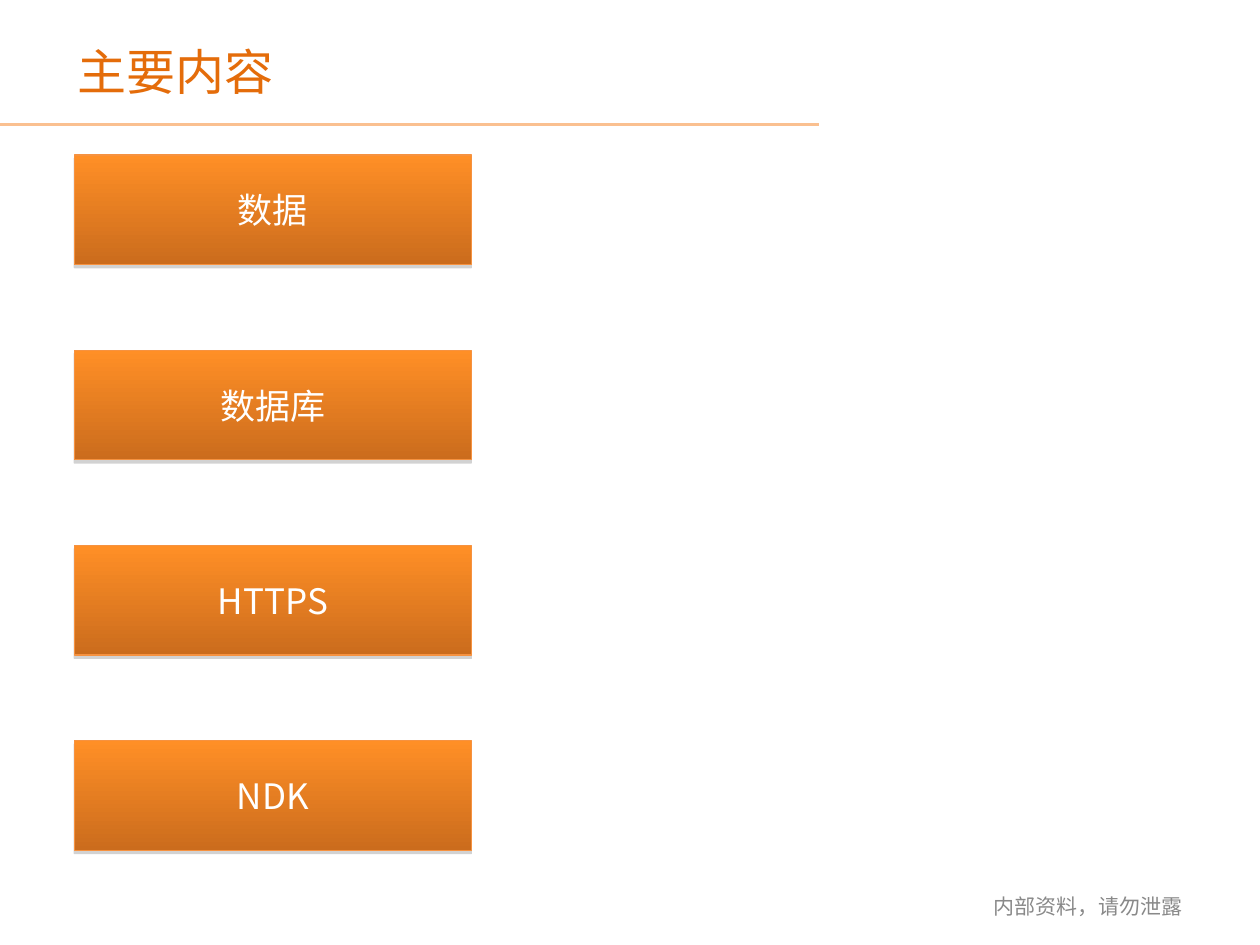
from lxml.etree import SubElement
from pptx import Presentation
from pptx.dml.color import RGBColor
from pptx.enum.shapes import MSO_CONNECTOR as Connector, MSO_SHAPE as Shape
from pptx.enum.text import MSO_ANCHOR as Anchor, MSO_AUTO_SIZE as AutoSize, PP_ALIGN as Align
from pptx.oxml.ns import qn
from pptx.util import Inches, Pt

WHITE = RGBColor(0xFF, 0xFF, 0xFF)
TITLE_ORANGE = RGBColor(0xE4, 0x6C, 0x0A)
RULE_PEACH = RGBColor(0xFA, 0xC0, 0x90)
CARD_TOP = RGBColor(0xFF, 0x8F, 0x26)
CARD_BOTTOM = RGBColor(0xCB, 0x6C, 0x1D)
CARD_EDGE = RGBColor(0xF6, 0x92, 0x40)
FOOTER_GREY = RGBColor(0x89, 0x89, 0x89)
CJK_FONT = "Noto Sans CJK SC"
LATIN_FONT = "Calibri"
TOPICS = ["数据", "数据库", "HTTPS", "NDK"]


def write_text(frame, text, size, color, font_name=CJK_FONT, anchor=Anchor.MIDDLE):
    frame.text = text
    frame.vertical_anchor = anchor
    paragraph = frame.paragraphs[0]
    paragraph.alignment = Align.CENTER
    run = paragraph.runs[0]
    run.font.size = Pt(size)
    run.font.color.rgb = color
    run.font.name = font_name
    SubElement(run.font._element, qn("a:ea"), typeface=CJK_FONT)


def add_drop_shadow(card):
    card.shadow.inherit = False
    effects = card._element.spPr.find(qn("a:effectLst"))
    shadow = SubElement(effects, qn("a:outerShdw"), blurRad="0", dist=str(Pt(1.8)),
                        dir="5400000", algn="ctr", rotWithShape="0")
    tint = SubElement(shadow, qn("a:srgbClr"), val="808080")
    SubElement(tint, qn("a:alpha"), val="35000")


def add_topic_card(slide, topic, left, top, width, height):
    card = slide.shapes.add_shape(Shape.RECTANGLE, left, top, width, height)
    card.fill.gradient()
    card.fill.gradient_angle = 270
    for stop, position, color in zip(card.fill.gradient_stops, (0, 1), (CARD_TOP, CARD_BOTTOM)):
        stop.position = position
        stop.color.rgb = color
    card.line.color.rgb = CARD_EDGE
    card.line.width = Pt(0.75)
    add_drop_shadow(card)
    write_text(card.text_frame, topic, 20, WHITE)


def add_topics(slide, left, top, width, height):
    card_height = Inches(0.87)
    pitch = (height - card_height) // (len(TOPICS) - 1)
    for row, topic in enumerate(TOPICS):
        add_topic_card(slide, topic, left, top + row * pitch, width, card_height)


def add_header(slide, left, top, width, height):
    rule_y = Inches(0.99)
    rule = slide.shapes.add_connector(Connector.STRAIGHT, 0, rule_y, Inches(6.5), rule_y)
    rule.line.color.rgb = RULE_PEACH
    rule.line.width = Pt(2)
    SubElement(rule._element.spPr, qn("a:effectLst"))
    title = slide.shapes.add_textbox(left, top, width, height).text_frame
    title.word_wrap = False
    title.auto_size = AutoSize.SHAPE_TO_FIT_TEXT
    write_text(title, "主要内容", 28, TITLE_ORANGE, anchor=Anchor.TOP)


def add_footer(slide, left, top, width, height):
    notice = slide.shapes.add_textbox(left, top, width, height).text_frame
    notice.word_wrap = True
    write_text(notice, "内部资料，请勿泄露", 12, FOOTER_GREY, LATIN_FONT)


def main():
    deck = Presentation()
    deck.slide_width = Inches(10)
    deck.slide_height = Inches(7.5)
    slide = deck.slides.add_slide(deck.slide_layouts[6])
    add_header(slide, Inches(0.52), Inches(0.28), Inches(1.75), Inches(0.57))
    add_topics(slide, Inches(0.59), Inches(1.23), Inches(3.15), Inches(5.52))
    add_footer(slide, Inches(7.76), Inches(6.99), Inches(1.75), Inches(0.4))
    deck.save("out.pptx")


if __name__ == "__main__":
    main()
